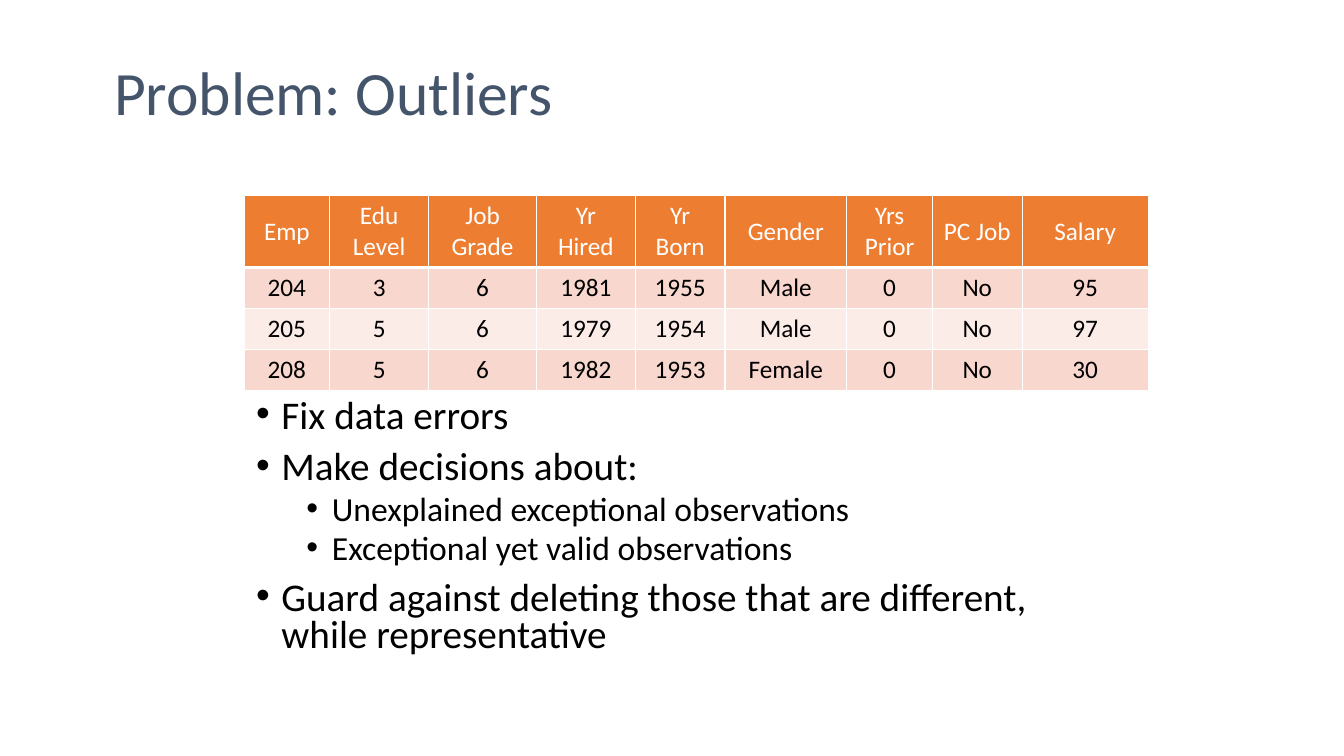
import pptx
import pptx.dml.color
import pptx.enum.text
import pptx.oxml
import pptx.oxml.ns
import pptx.util
from pptx.util import Cm

COLORS = {
    "title": "44546A",
    "text": "000000",
    "white": "FFFFFF",
    "header": "ED7D31",
    "odd_row": "F8D7CE",
    "even_row": "FCECE8",
}
ALIGN = pptx.enum.text.PP_ALIGN
MIDDLE = pptx.enum.text.MSO_ANCHOR.MIDDLE

HEADERS = ["Emp", "Edu Level", "Job Grade", "Yr Hired", "Yr Born",
           "Gender", "Yrs Prior", "PC Job", "Salary"]
EMPLOYEES = [
    ["204", "3", "6", "1981", "1955", "Male", "0", "No", "95"],
    ["205", "5", "6", "1979", "1954", "Male", "0", "No", "97"],
    ["208", "5", "6", "1982", "1953", "Female", "0", "No", "30"],
]
COLUMN_WIDTHS = [2.16, 2.49, 2.72, 2.49, 2.26, 3.07, 2.16, 2.26, 3.18]
ROW_HEIGHTS = [1.81] + [1.03] * len(EMPLOYEES)
POINTS = [
    (0, "Fix data errors"),
    (0, "Make decisions about:"),
    (1, "Unexplained exceptional observations"),
    (1, "Exceptional yet valid observations"),
    (0, "Guard against deleting those that are different, while representative"),
]


def rgb(name):
    """Return the named colour as an RGBColor."""
    return pptx.dml.color.RGBColor.from_string(COLORS[name])


def element(tag, parent, **attributes):
    """Append a DrawingML element to a parent and return it."""
    child = parent.makeelement(pptx.oxml.ns.qn(tag), attributes)
    parent.append(child)
    return child


def write(paragraph, text, size=18, color="text", align=ALIGN.LEFT,
          line_spacing=1.0, space_before=0, level=0, bullet=None):
    """Fill a paragraph with formatted text."""
    paragraph.text = text
    paragraph.alignment = align
    paragraph.line_spacing = line_spacing
    paragraph.space_before = pptx.util.Pt(space_before)
    paragraph.level = level
    if bullet:
        properties = paragraph._p.get_or_add_pPr()
        properties.set("marL", str(Cm(0.64 + 1.27 * level)))
        properties.set("indent", str(Cm(-0.64)))
        element("a:buFont", properties, typeface="Arial")
        element("a:buChar", properties, char=bullet)
    font = paragraph.font
    for target in [font] + [run.font for run in paragraph.runs]:
        target.name = "Calibri"
        target.size = pptx.util.Pt(size)
        target.color.rgb = rgb(color)


class SlideBuilder:
    """Hold the slide and its style while elements are added."""

    def __init__(self, presentation):
        """Add a title and content slide."""
        self.slide = presentation.slides.add_slide(presentation.slide_layouts[1])

    def place(self, shape, left, top, width, height):
        """Position a placeholder in centimetres and return its text frame."""
        shape.left, shape.top = Cm(left), Cm(top)
        shape.width, shape.height = Cm(width), Cm(height)
        frame = shape.text_frame
        frame.word_wrap = True
        frame.auto_size = pptx.enum.text.MSO_AUTO_SIZE.NONE
        return frame

    def title(self, text, *box):
        """Fill the title placeholder."""
        frame = self.place(self.slide.shapes.title, *box)
        frame.vertical_anchor = MIDDLE
        write(frame.paragraphs[0], text, size=44, color="title", line_spacing=0.9)

    def bullets(self, points, *box):
        """Fill the body placeholder with a two-level list."""
        frame = self.place(self.slide.placeholders[1], *box)
        for index, (level, text) in enumerate(points):
            paragraph = frame.add_paragraph() if index else frame.paragraphs[0]
            spacing = (5 if level else 10) if index else 0
            write(paragraph, text, size=24 if level else 28, level=level,
                  line_spacing=0.8, space_before=spacing, bullet="•")

    def borders(self, cell, bottom):
        """Draw white borders round a cell."""
        properties = cell._tc.get_or_add_tcPr()
        widths = {"a:lnL": 1, "a:lnR": 1, "a:lnT": 1, "a:lnB": bottom}
        for tag, width in widths.items():
            line = element(tag, properties, w=str(pptx.util.Pt(width)))
            fill = element("a:solidFill", line)
            element("a:srgbClr", fill, val=COLORS["white"])

    def table(self, rows, widths, heights, left, top):
        """Add a table with a header row and banded data rows."""
        table = self.slide.shapes.add_table(
            len(rows), len(widths), Cm(left), Cm(top),
            Cm(sum(widths)), Cm(sum(heights))).table
        for column, width in zip(table.columns, widths):
            column.width = Cm(width)
        for index, (row, height) in enumerate(zip(table.rows, heights)):
            row.height = Cm(height)
            band = "odd_row" if index % 2 else "even_row"
            for cell, text in zip(row.cells, rows[index]):
                cell.vertical_anchor = MIDDLE
                cell.margin_left = cell.margin_right = Cm(0.28)
                self.borders(cell, bottom=1 if index else 3)
                cell.fill.solid()
                cell.fill.fore_color.rgb = rgb(band if index else "header")
                write(cell.text_frame.paragraphs[0], text, align=ALIGN.CENTER,
                      color="text" if index else "white")


def main():
    """Build and save the slide."""
    presentation = pptx.Presentation()
    presentation.slide_width, presentation.slide_height = Cm(33.87), Cm(19.05)
    builder = SlideBuilder(presentation)
    builder.title("Problem: Outliers", 2.62, 0.94, 28.73, 2.92)
    builder.table([HEADERS] + EMPLOYEES, COLUMN_WIDTHS, ROW_HEIGHTS, 6.15, 4.93)
    builder.bullets(POINTS, 6.2, 9.93, 21.51, 7.06)
    presentation.save("out.pptx")


if __name__ == "__main__":
    main()
